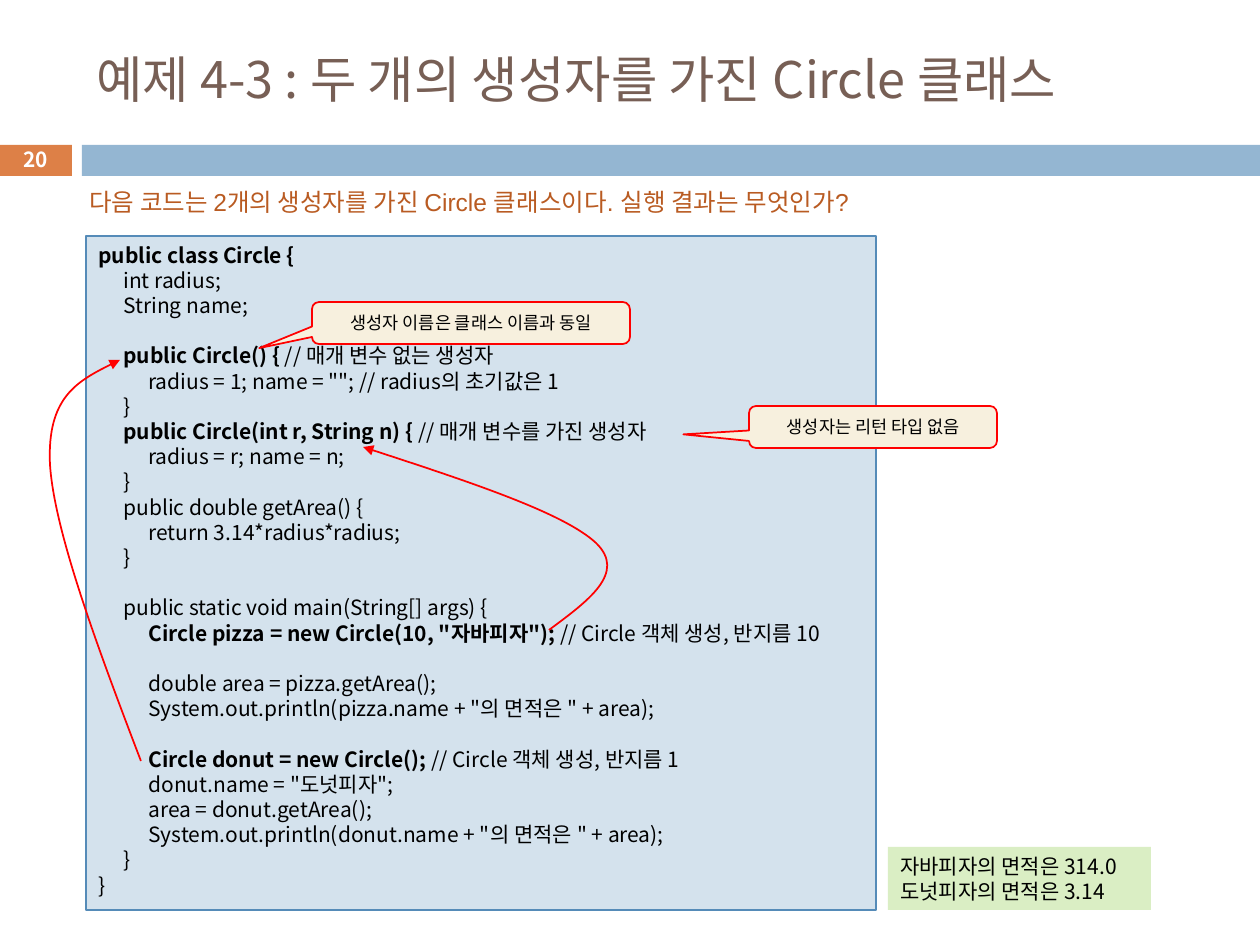
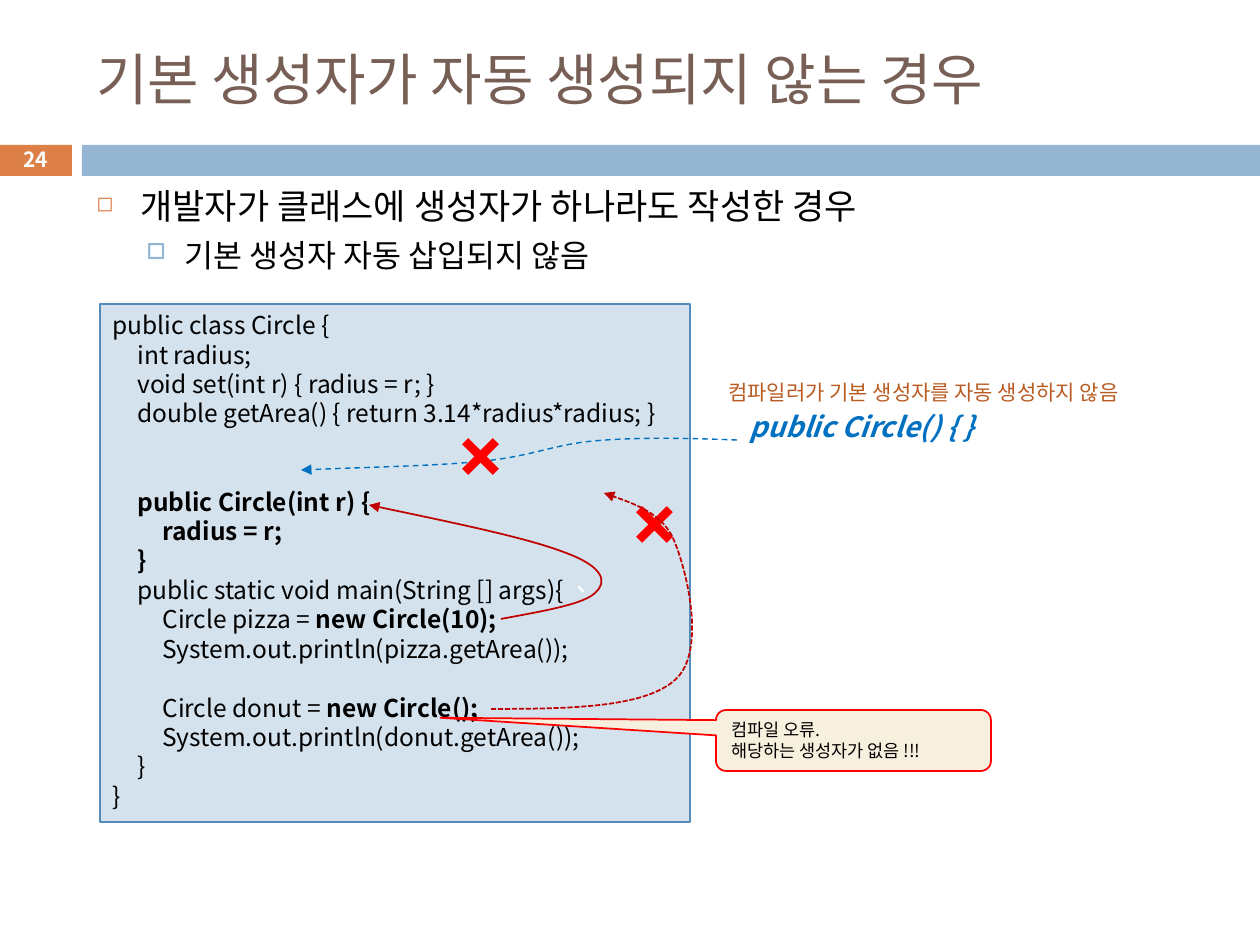
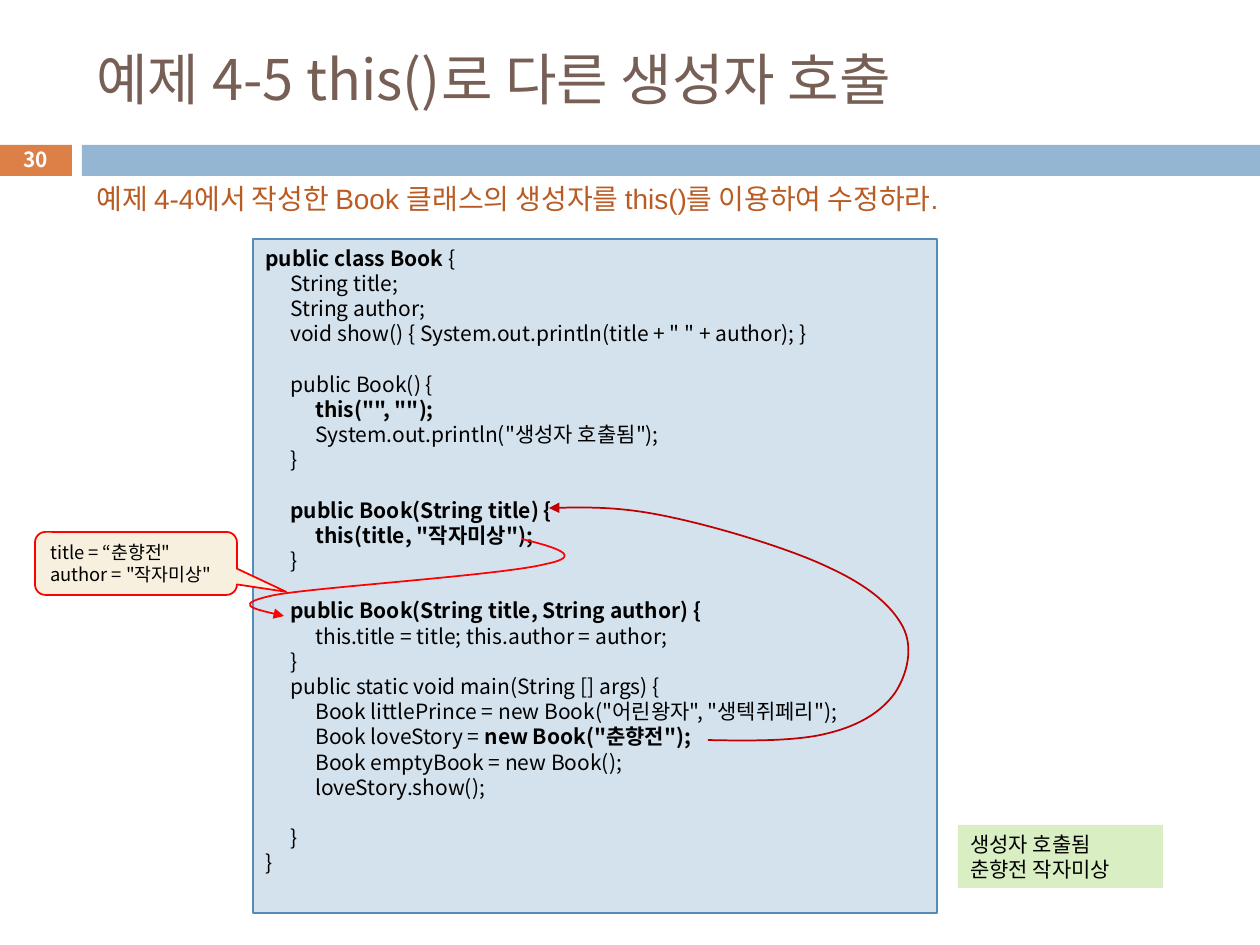
"""Build three slides on Java constructors with annotated code listings."""
import lxml.etree
import pptx
import pptx.dml.color
import pptx.enum.dml
import pptx.enum.shapes
import pptx.enum.text
import pptx.oxml.ns
import pptx.util

RGBColor = pptx.dml.color.RGBColor
ORANGE = RGBColor(0xDD, 0x80, 0x47)
BAND_BLUE = RGBColor(0x94, 0xB6, 0xD2)
TITLE_BROWN = RGBColor(0x77, 0x5F, 0x55)
RUST = RGBColor(0xB9, 0x5B, 0x22)
CODE_FILL = RGBColor(0xD4, 0xE2, 0xED)
CODE_LINE = RGBColor(0x55, 0x8B, 0xB8)
OUTPUT_GREEN = RGBColor(0xDA, 0xEE, 0xC4)
CALLOUT_CREAM = RGBColor(0xF7, 0xF0, 0xDE)
RED = RGBColor(0xFF, 0x00, 0x00)
DARK_RED = RGBColor(0xC0, 0x00, 0x00)
BLUE = RGBColor(0x00, 0x70, 0xC0)
BLACK = RGBColor(0x00, 0x00, 0x00)
WHITE = RGBColor(0xFF, 0xFF, 0xFF)

SHAPES = pptx.enum.shapes.MSO_SHAPE
DASHES = pptx.enum.dml.MSO_LINE
ALIGN = pptx.enum.text.PP_ALIGN
ANCHOR = pptx.enum.text.MSO_ANCHOR

EMU_PER_PX = 914400 / 126
FONT = "Noto Sans CJK KR"
LINE_HEIGHT = 1.2
TAB_WIDTH = 25
CODE_INDENT = " " * 4

CIRCLE_CODE = '''**public class Circle {**
    int radius;
    String name;

    **public Circle() {** // 매개 변수 없는 생성자
        radius = 1; name = ""; // radius의 초기값은 1
    }
    **public Circle(int r, String n) { **// 매개 변수를 가진 생성자
        radius = r; name = n;
    }
    public double getArea() {
        return 3.14*radius*radius;
    }

    public static void main(String[] args) {
        **Circle pizza = new Circle(10, "자바피자"); **// Circle 객체 생성, 반지름 10

        double area = pizza.getArea();
        System.out.println(pizza.name + "의 면적은 " + area);

        **Circle donut = new Circle(); **// Circle 객체 생성, 반지름 1
        donut.name = "도넛피자";
        area = donut.getArea();
        System.out.println(donut.name + "의 면적은 " + area);
    }
}'''

NO_DEFAULT_CODE = '''public class Circle {
    int radius;
    void set(int r) { radius = r; }
    double getArea() { return 3.14*radius*radius; }


    **public Circle(int r) {**
        **radius = r;**
    **}**
    public static void main(String [] args){
        Circle pizza = **new Circle(10);**
        System.out.println(pizza.getArea());

        Circle donut = **new Circle();**
        System.out.println(donut.getArea());
    }
}'''

BOOK_CODE = '''**public class Book **{
    String title;
    String author;
    void show() { System.out.println(title + " " + author); }

    public Book() {
        **this("", "");**
        System.out.println("생성자 호출됨");
    }

    **public Book(String title) {**
        **this(title, "작자미상");**
    }

    **public Book(String title, String author) {**
        this.title = title; this.author = author;
    }
    public static void main(String [] args) {
        Book littlePrince = new Book("어린왕자", "생텍쥐페리");
        Book loveStory = **new Book("춘향전");**
        Book emptyBook = new Book();
        loveStory.show();

    }
}'''


def emu(px):
    return pptx.util.Emu(round(px * EMU_PER_PX))


def add_xml(parent, tag, **attributes):
    element = lxml.etree.SubElement(parent, pptx.oxml.ns.qn(tag))
    for name, value in attributes.items():
        element.set(name, str(value))
    return element


class Deck:
    """Holds the shared style and the current slide."""

    def __init__(self):
        self.presentation = pptx.Presentation()
        self.presentation.slide_width = emu(1260)
        self.presentation.slide_height = emu(945)
        self.slide = None

    def start_slide(self, title, number, title_size=32):
        self.slide = self.presentation.slides.add_slide(self.presentation.slide_layouts[6])
        self.box((-1, 145, 73, 31), ORANGE)
        self.box((82, 145, 1178, 31), BAND_BLUE)
        self.text((84, 32, 1124, 93), title, title_size, TITLE_BROWN, anchor=ANCHOR.MIDDLE)
        self.text((-1, 142, 73, 34), str(number), 11.9, WHITE, bold=True,
                  anchor=ANCHOR.MIDDLE, align=ALIGN.CENTER)

    def format_runs(self, paragraph, size, color, font=FONT, bold=None, italic=False):
        paragraph.line_spacing = pptx.util.Pt(round(size * LINE_HEIGHT, 1))
        for run in paragraph.runs:
            run.font.size = pptx.util.Pt(size)
            run.font.color.rgb = color
            run.font.name = font
            run.font.italic = italic
            if bold is not None:
                run.font.bold = bold
            add_xml(run._r.get_or_add_rPr(), "a:ea", typeface=FONT)

    def fill_text(self, shape, text, size, color, anchor=ANCHOR.TOP, align=ALIGN.LEFT,
                  wrap=True, **style):
        frame = shape.text_frame
        frame.text = text
        frame.word_wrap = wrap
        frame.vertical_anchor = anchor
        for paragraph in frame.paragraphs:
            paragraph.alignment = align
            self.format_runs(paragraph, size, color, **style)

    def text(self, place, text, size, color, **style):
        shape = self.slide.shapes.add_textbox(*map(emu, place))
        self.fill_text(shape, text, size, color, **style)

    def box(self, place, fill, line=None, line_width=1, kind=SHAPES.RECTANGLE):
        shape = self.slide.shapes.add_shape(kind, *map(emu, place))
        shape.shadow.inherit = False
        shape.fill.solid()
        shape.fill.fore_color.rgb = fill
        if line is None:
            shape.line.fill.background()
        else:
            shape.line.color.rgb = line
            shape.line.width = pptx.util.Pt(line_width)
        return shape

    def bullets(self, place, items):
        frame = self.slide.shapes.add_textbox(*map(emu, place)).text_frame
        frame.word_wrap = True
        frame.text = "\n".join(item[0] for item in items)
        for paragraph, item in zip(frame.paragraphs, items):
            _, symbol, color, percent, margin, hanging, size, gap = item
            properties = paragraph._p.get_or_add_pPr()
            properties.set("marL", str(emu(margin)))
            properties.set("indent", str(-emu(hanging)))
            add_xml(add_xml(properties, "a:buClr"), "a:srgbClr", val=color)
            add_xml(properties, "a:buSzPct", val=percent * 1000)
            add_xml(properties, "a:buChar", char=symbol)
            self.format_runs(paragraph, size, BLACK)
            if gap:
                paragraph.space_before = pptx.util.Pt(gap)

    def code(self, place, source, size=12):
        frame = self.box(place, CODE_FILL, CODE_LINE, 0.75).text_frame
        frame.word_wrap = True
        frame.vertical_anchor = ANCHOR.TOP
        paragraph = frame.paragraphs[0]
        skipped = 0
        for index, line in enumerate(source.split("\n")):
            if not line:
                skipped += 1
                continue
            if index:
                paragraph = frame.add_paragraph()
            paragraph.alignment = ALIGN.LEFT
            tabs = add_xml(paragraph._p.get_or_add_pPr(), "a:tabLst")
            for stop in (1, 2):
                add_xml(tabs, "a:tab", pos=emu(stop * TAB_WIDTH), algn="l")
            for part, words in enumerate(line.replace(CODE_INDENT, "\t").split("**")):
                if words:
                    run = paragraph.add_run()
                    run.text = words
                    run.font.bold = part % 2 == 1
            self.format_runs(paragraph, size, BLACK)
            if skipped:
                paragraph.space_before = pptx.util.Pt(round(skipped * size * LINE_HEIGHT, 1))
            skipped = 0

    def output(self, place, text):
        self.fill_text(self.box(place, OUTPUT_GREEN), text, 12, BLACK)

    def callout(self, place, pointer, text, size=10, **style):
        shape = self.box(place, CALLOUT_CREAM, RED, kind=SHAPES.ROUNDED_RECTANGULAR_CALLOUT)
        shape.adjustments[0], shape.adjustments[1] = pointer
        self.fill_text(shape, text, size, BLACK, **style)

    def cross(self, left, top):
        shape = self.box((left, top, 59, 59), RED, kind=SHAPES.MATH_MULTIPLY)
        shape.adjustments[0] = 0.145

    def curve(self, start, segments, color, width=1, dash=None):
        anchors = [start] + [segment[-1] for segment in segments]
        left = min(x for x, _ in anchors)
        top = min(y for _, y in anchors)
        builder = self.slide.shapes.build_freeform(*start, scale=EMU_PER_PX)
        builder.add_line_segments(anchors[1:], close=False)
        shape = builder.convert_to_shape()
        outline = next(shape._element.iter(pptx.oxml.ns.qn("a:path")))
        for straight, segment in zip(outline.findall(pptx.oxml.ns.qn("a:lnTo")), segments):
            bezier = add_xml(outline, "a:cubicBezTo")
            outline.replace(straight, bezier)
            for x, y in segment:
                add_xml(bezier, "a:pt", x=x - left, y=y - top)
        shape.shadow.inherit = False
        shape.fill.background()
        shape.line.color.rgb = color
        shape.line.width = pptx.util.Pt(width)
        if dash is not None:
            shape.line.dash_style = dash
        add_xml(shape.line._get_or_add_ln(), "a:tailEnd", type="triangle")
        return shape


def two_constructors(deck):
    deck.start_slide("예제 4-3 : 두 개의 생성자를 가진 Circle 클래스", 20, title_size=28.8)
    deck.text((77, 181, 1139, 43),
              "다음 코드는 2개의 생성자를 가진 Circle 클래스이다. 실행 결과는 무엇인가?",
              14, RUST, font="Arial")
    deck.code((86, 236, 790, 674), CIRCLE_CODE)
    deck.output((888, 847, 263, 63), "자바피자의 면적은 314.0\n도넛피자의 면적은 3.14")
    deck.curve((549, 630), [((588, 601), (627, 573), (596, 543)),
                            ((564, 513), (464, 480), (363, 447))], RED)
    centred = {"anchor": ANCHOR.MIDDLE, "align": ALIGN.CENTER}
    deck.callout((312, 302, 318, 42), (-0.666, 0.597), "생성자 이름은 클래스 이름과 동일", **centred)
    deck.callout((749, 406, 248, 42), (-0.765, 0.176), "생성자는 리턴 타입 없음", **centred)
    deck.curve((141, 761), [((97, 646), (54, 530), (50, 464)),
                            ((47, 397), (83, 378), (120, 360))], RED)


def no_default_constructor(deck):
    deck.start_slide("기본 생성자가 자동 생성되지 않는 경우", 24)
    deck.bullets((84, 178, 1124, 374), [
        ("개발자가 클래스에 생성자가 하나라도 작성한 경우", "◻", ORANGE, 60, 44, 44, 20, 0),
        ("기본 생성자 자동 삽입되지 않음", "□", BAND_BLUE, 70, 88, 38, 18, 5.5),
    ])
    deck.code((100, 304, 590, 518), NO_DEFAULT_CODE, 14)
    deck.callout((716, 710, 275, 61), (-1.502, -0.372), "컴파일 오류.\n해당하는 생성자가 없음 !!!")
    deck.text((737, 403, 251, 47), "public Circle() { }", 16, BLUE,
              bold=True, italic=True, wrap=False)
    deck.curve((737, 440), [((687, 438), (636, 437), (593, 441)),
                            ((552, 445), (533, 456), (484, 461)),
                            ((436, 466), (368, 467), (301, 470))], BLUE, 0.79, DASHES.DASH)
    deck.text((716, 373, 466, 38), "컴파일러가 기본 생성자를 자동 생성하지 않음", 12, RUST, wrap=False)
    deck.cross(451, 427)
    deck.cross(625, 495)
    deck.curve((501, 619), [((544, 611), (586, 604), (596, 592)),
                            ((607, 582), (604, 567), (566, 553)),
                            ((528, 538), (449, 522), (369, 505))], DARK_RED)
    failed_call = deck.curve((491, 709), [((568, 709), (644, 708), (675, 680)),
                                          ((706, 653), (688, 575), (675, 543)),
                                          ((664, 512), (604, 493), (604, 493))],
                             DARK_RED, dash=DASHES.SQUARE_DOT)
    deck.fill_text(failed_call, "`", 18, WHITE, anchor=ANCHOR.MIDDLE, align=ALIGN.CENTER)


def this_call(deck):
    deck.start_slide("예제 4-5 this()로 다른 생성자 호출", 30)
    deck.text((84, 175, 1079, 47),
              "예제 4-4에서 작성한 Book 클래스의 생성자를 this()를 이용하여 수정하라.",
              16, RUST, font="Arial")
    deck.code((253, 239, 684, 674), BOOK_CODE)
    deck.output((958, 825, 205, 63), "생성자 호출됨\n춘향전 작자미상")
    deck.curve((522, 539), [((554, 547), (586, 556), (546, 564)),
                            ((504, 575), (319, 587), (275, 595)),
                            ((232, 604), (257, 610), (284, 616))], RED)
    deck.callout((35, 532, 202, 63), (0.744, 0.451),
                 "title = “춘향전\"\nauthor = \"작자미상\"", 10.5, wrap=False)
    deck.curve((708, 740), [((753, 741), (799, 741), (829, 733)),
                            ((861, 725), (882, 711), (895, 693)),
                            ((907, 675), (914, 648), (903, 627)),
                            ((892, 606), (869, 586), (830, 568)),
                            ((791, 549), (718, 527), (670, 517)),
                            ((624, 507), (587, 507), (549, 508))], DARK_RED)


def main():
    deck = Deck()
    two_constructors(deck)
    no_default_constructor(deck)
    this_call(deck)
    deck.presentation.save("out.pptx")


if __name__ == "__main__":
    main()
